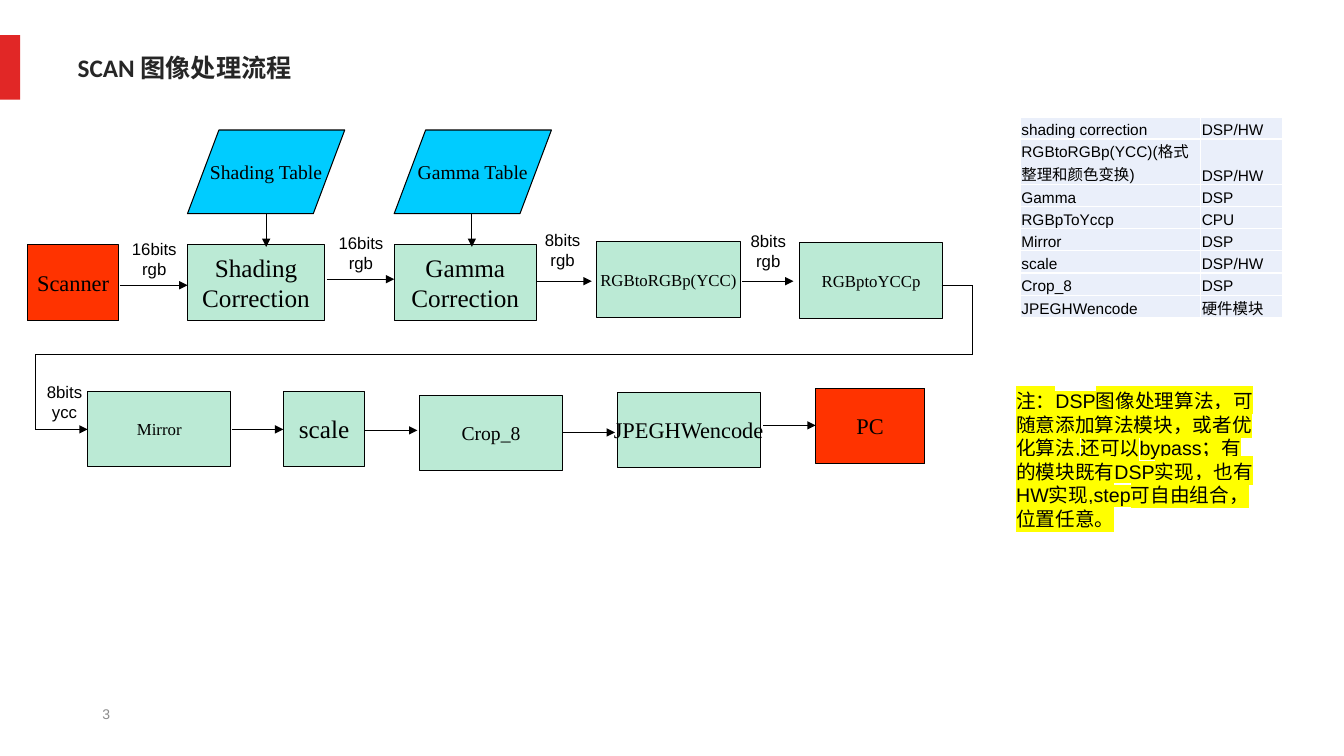
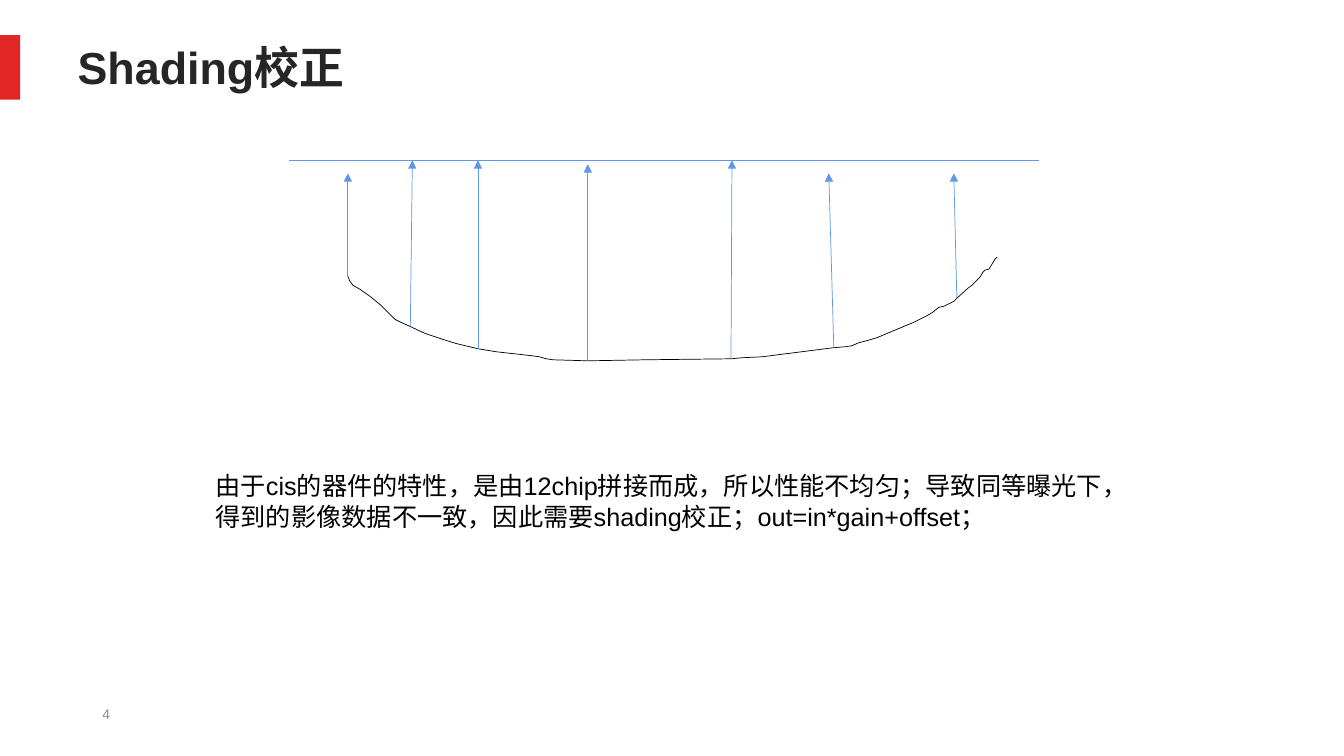
from typing import NamedTuple

from pptx import Presentation
from pptx.dml.color import RGBColor
from pptx.enum import shapes as es, text as et
from pptx.oxml import ns, xmlchemy
from pptx.util import Inches, Pt

COLORS = {
    "band": "E12726", "title": "262626", "number": "8C8C8C", "text": "000000",
    "step": "BBEAD5", "device": "FF3300", "data": "00CCFF", "cell": "EAEFFA",
    "border": "FFFFFF", "marker": "FFFF00", "blue": "6096E6",
}
SANS, SERIF = "Arial", "Times New Roman"
STEP_HEIGHT = 0.75
BOX_KINDS = {
    "step": es.MSO_SHAPE.RECTANGLE,
    "device": es.MSO_SHAPE.FLOWCHART_PROCESS,
    "data": es.MSO_SHAPE.FLOWCHART_DATA,
}


class Box(NamedTuple):
    text: str
    kind: str
    left: float
    top: float
    width: float
    size: int
    height: float = STEP_HEIGHT


class Line(NamedTuple):
    x1: float
    y1: float
    x2: float
    y2: float
    arrow: bool = True


class Label(NamedTuple):
    text: str
    left: float
    top: float
    width: float


BOXES = [
    Box("Shading Table", "data", 1.86, 1.29, 1.56, 14, 0.83),
    Box("Gamma Table", "data", 3.91, 1.29, 1.56, 14, 0.83),
    Box("Scanner", "device", 0.27, 2.43, 0.91, 16),
    Box("Shading\nCorrection", "step", 1.86, 2.43, 1.36, 18),
    Box("Gamma\nCorrection", "step", 3.91, 2.43, 1.41, 18),
    Box("RGBtoRGBp(YCC)", "step", 5.92, 2.4, 1.42, 12),
    Box("RGBptoYCCp", "step", 7.93, 2.41, 1.42, 12),
    Box("Mirror", "step", 0.87, 3.88, 1.42, 12),
    Box("scale", "step", 2.81, 3.88, 0.81, 18),
    Box("Crop_8", "step", 4.16, 3.92, 1.42, 14),
    Box("JPEGHWencode", "step", 6.12, 3.89, 1.42, 16),
    Box("PC", "device", 8.09, 3.85, 1.08, 16),
]
FLOW_LINES = [
    # tables into the correction steps
    Line(2.64, 2.12, 2.64, 2.45), Line(4.68, 2.12, 4.68, 2.45),
    # upper row
    Line(1.19, 2.83, 1.86, 2.83), Line(3.24, 2.77, 3.91, 2.77),
    Line(5.33, 2.79, 5.87, 2.79), Line(7.36, 2.79, 7.87, 2.79),
    # return path to the lower row
    Line(9.34, 2.83, 9.65, 2.83, False), Line(9.65, 2.83, 9.65, 3.52, False),
    Line(9.65, 3.52, 0.35, 3.52, False), Line(0.35, 3.52, 0.35, 4.26, False),
    Line(0.35, 4.26, 0.87, 4.26),
    # lower row
    Line(2.3, 4.26, 2.81, 4.26), Line(3.62, 4.27, 4.14, 4.27),
    Line(5.58, 4.29, 6.1, 4.29), Line(7.57, 4.22, 8.09, 4.22),
]
LABELS = [
    Label("16bits rgb", 1.19, 2.32, 0.68), Label("16bits rgb", 3.24, 2.26, 0.68),
    Label("8bits rgb", 5.29, 2.23, 0.58), Label("8bits rgb", 7.33, 2.24, 0.58),
    Label("8bits ycc", 0.35, 3.74, 0.58),
]
MODULES = [
    ("shading correction", "DSP/HW"),
    ("RGBtoRGBp(YCC)(格式整理和颜色变换)", "DSP/HW"),
    ("Gamma", "DSP"),
    ("RGBpToYccp", "CPU"),
    ("Mirror", "DSP"),
    ("scale", "DSP/HW"),
    ("Crop_8", "DSP"),
    ("JPEGHWencode", "硬件模块"),
]
NOTE = ("注：DSP图像处理算法，可随意添加算法模块，或者优化算法,还可以bypass；"
        "有的模块既有DSP实现，也有HW实现,step可自由组合，位置任意。")
EXPLANATION = ("由于cis的器件的特性，是由12chip拼接而成，所以性能不均匀；导致同等曝光下，"
               "得到的影像数据不一致，因此需要shading校正；out=in*gain+offset；")
RESPONSE_CURVE = [
    (3.45, 2.74), (3.47, 2.79), (3.5, 2.83), (3.57, 2.87), (3.67, 2.94),
    (3.78, 3.03), (3.85, 3.1), (3.92, 3.17), (3.98, 3.2), (4.07, 3.24),
    (4.22, 3.31), (4.37, 3.36), (4.53, 3.41), (4.74, 3.46), (4.92, 3.49),
    (5.1, 3.51), (5.28, 3.53), (5.35, 3.54), (5.42, 3.56), (5.48, 3.57),
    (5.83, 3.58), (6.4, 3.57), (7.25, 3.56), (7.36, 3.55), (7.56, 3.54),
    (8.27, 3.45), (8.39, 3.44), (8.45, 3.43), (8.52, 3.4), (8.6, 3.38),
    (8.7, 3.35), (8.89, 3.27), (9.06, 3.2), (9.18, 3.14), (9.25, 3.1),
    (9.31, 3.05), (9.36, 3.04), (9.4, 3.02), (9.46, 2.99), (9.49, 2.96),
    (9.6, 2.86), (9.64, 2.83), (9.72, 2.75), (9.75, 2.7), (9.77, 2.68),
    (9.81, 2.67), (9.84, 2.62), (9.87, 2.57), (9.89, 2.55),
]
GAIN_LINES = [
    Line(2.87, 1.59, 10.3, 1.59, False),
    Line(3.45, 2.74, 3.45, 1.72), Line(4.07, 3.24, 4.09, 1.59),
    Line(4.74, 3.46, 4.74, 1.59), Line(5.83, 3.58, 5.83, 1.63),
    Line(7.25, 3.56, 7.26, 1.59), Line(8.27, 3.45, 8.22, 1.72),
    Line(9.49, 2.96, 9.46, 1.72),
]


# Text and line helpers
def rgb(name: str) -> RGBColor:
    return RGBColor.from_string(COLORS[name])


def add_run(p, text: str, size: float, font: str = SANS, color: str = "text",
            bold: bool = False):
    r = p.add_run()
    r.text = text
    r.font.size, r.font.name, r.font.bold = Pt(size), font, bold
    r.font.color.rgb = rgb(color)
    return r


def add_text(slide, text: str, left: float, top: float, width: float, height: float,
             size: float, color: str = "text", align=et.PP_ALIGN.LEFT,
             anchor=et.MSO_ANCHOR.TOP):
    sp = slide.shapes.add_textbox(*map(Inches, (left, top, width, height)))
    tf = sp.text_frame
    tf.word_wrap = True
    tf.vertical_anchor = anchor
    p = tf.paragraphs[0]
    p.alignment = align
    return add_run(p, text, size, color=color)


def highlight(r, color: str) -> None:
    mark = xmlchemy.OxmlElement("a:highlight")
    fill = xmlchemy.OxmlElement("a:srgbClr")
    fill.set("val", COLORS[color])
    mark.append(fill)
    r._r.rPr.find(ns.qn("a:solidFill")).addnext(mark)


def add_line(slide, line: Line, color: str, width: float) -> None:
    c = slide.shapes.add_connector(
        es.MSO_CONNECTOR.STRAIGHT,
        *map(Inches, (line.x1, line.y1, line.x2, line.y2)))
    c.line.color.rgb = rgb(color)
    c.line.width = Pt(width)
    sp_pr = c.element.spPr
    if line.arrow:
        tail = xmlchemy.OxmlElement("a:tailEnd")
        tail.set("type", "triangle")
        sp_pr.find(ns.qn("a:ln")).append(tail)
    sp_pr.append(xmlchemy.OxmlElement("a:effectLst"))


# Flow chart and table
def add_box(slide, box: Box) -> None:
    sp = slide.shapes.add_shape(
        BOX_KINDS[box.kind],
        *map(Inches, (box.left, box.top, box.width, box.height)))
    sp.shadow.inherit = False
    sp.fill.solid()
    sp.fill.fore_color.rgb = rgb(box.kind)
    sp.line.color.rgb = rgb("text")
    sp.line.width = Pt(0.75)
    tf = sp.text_frame
    tf.word_wrap = False
    tf.vertical_anchor = et.MSO_ANCHOR.MIDDLE
    for i, text in enumerate(box.text.split("\n")):
        p = tf.add_paragraph() if i else tf.paragraphs[0]
        p.alignment = et.PP_ALIGN.CENTER
        add_run(p, text, box.size, SERIF)


def format_cell(cell, text: str) -> None:
    cell.margin_left = cell.margin_right = cell.margin_top = Inches(0.01)
    cell.margin_bottom = 0
    cell.vertical_anchor = et.MSO_ANCHOR.BOTTOM
    add_run(cell.text_frame.paragraphs[0], text, 11)
    tc_pr = cell._tc.get_or_add_tcPr()
    for side in "LRTB":
        ln = xmlchemy.OxmlElement(f"a:ln{side}")
        ln.set("w", str(Pt(1)))
        fill = xmlchemy.OxmlElement("a:solidFill")
        color = xmlchemy.OxmlElement("a:srgbClr")
        color.set("val", COLORS["border"])
        fill.append(color)
        ln.append(fill)
        tc_pr.append(ln)
    cell.fill.solid()
    cell.fill.fore_color.rgb = rgb("cell")


def add_module_table(slide) -> None:
    table = slide.shapes.add_table(
        len(MODULES), 2, *map(Inches, (10.12, 1.16, 2.6, 2.02))).table
    table.first_row = table.horz_banding = False
    for column, width in zip(table.columns, (1.79, 0.81)):
        column.width = Inches(width)
    for i, module in enumerate(MODULES):
        table.rows[i].height = Inches(0.45 if i == 1 else 0.22)
        for j, text in enumerate(module):
            format_cell(table.cell(i, j), text)


# Shared slide frame
def add_slide(prs, title: str, number: int, size: float, font: str):
    slide = prs.slides.add_slide(prs.slide_layouts[5])
    band = slide.shapes.add_shape(
        es.MSO_SHAPE.RECTANGLE, *map(Inches, (0, 0.35, 0.2, 0.64)))
    band.shadow.inherit = False
    band.fill.solid()
    band.fill.fore_color.rgb = rgb("band")
    band.line.fill.background()

    sp = slide.shapes.title
    sp.left, sp.top, sp.width, sp.height = map(Inches, (0.67, 0.28, 12, 0.77))
    tf = sp.text_frame
    tf.vertical_anchor = et.MSO_ANCHOR.MIDDLE
    p = tf.paragraphs[0]
    p.alignment = et.PP_ALIGN.LEFT
    add_run(p, title, size, font, "title", bold=True)

    add_text(slide, str(number), 0.67, 6.91, 0.52, 0.35, 10, "number",
             et.PP_ALIGN.RIGHT, et.MSO_ANCHOR.MIDDLE)
    return slide


def build_flow_slide(prs) -> None:
    slide = add_slide(prs, "SCAN 图像处理流程", 3, 18, "Calibri")
    for box in BOXES:
        add_box(slide, box)
    for line in FLOW_LINES:
        add_line(slide, line, "text", 0.75)
    for label in LABELS:
        add_text(slide, label.text, label.left, label.top, label.width, 0.51, 12,
                 align=et.PP_ALIGN.CENTER)
    add_module_table(slide)
    highlight(add_text(slide, NOTE, 9.98, 3.81, 2.6, 1.51, 14), "marker")


def build_shading_slide(prs) -> None:
    slide = add_slide(prs, "Shading校正", 4, 32, SANS)
    # Sensor response
    start, *rest = [(Inches(x), Inches(y)) for x, y in RESPONSE_CURVE]
    builder = slide.shapes.build_freeform(*start)
    builder.add_line_segments(rest, close=False)
    curve = builder.convert_to_shape()
    curve.shadow.inherit = False
    curve.fill.background()
    curve.line.color.rgb = rgb("text")
    curve.line.width = Pt(0.5)
    # Target level and gains
    for line in GAIN_LINES:
        add_line(slide, line, "blue", 0.5)
    add_text(slide, EXPLANATION, 2.04, 4.62, 9.26, 0.71, 18)


def main() -> None:
    prs = Presentation()
    prs.slide_width, prs.slide_height = Inches(13.33), Inches(7.5)
    build_flow_slide(prs)
    build_shading_slide(prs)
    prs.save("out.pptx")


if __name__ == "__main__":
    main()
